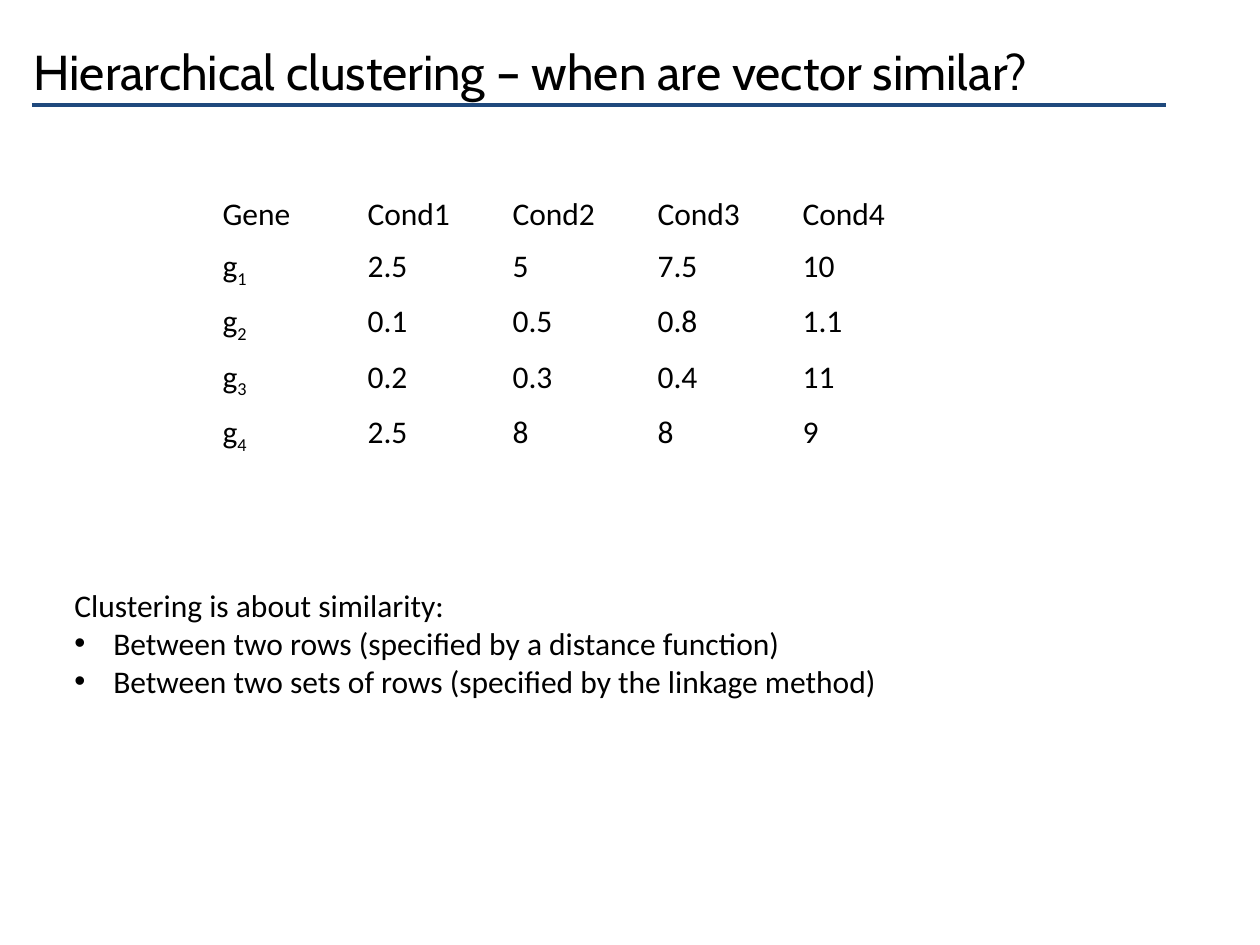
from dataclasses import dataclass

from lxml import etree
from pptx import Presentation
from pptx import util as u
from pptx.dml.color import RGBColor
from pptx.enum import shapes, text
from pptx.oxml import ns

PX_PER_INCH = 126


@dataclass(frozen=True)
class Theme:
    ink: RGBColor = RGBColor(0, 0, 0)
    rule: RGBColor = RGBColor(0x1F, 0x49, 0x7D)
    title_font: str = "Cabin"
    body_font: str = "Calibri"
    title_size: int = 28
    body_size: int = 18
    rule_width: float = 2.25


THEME = Theme()
TITLE = {"name": THEME.title_font, "size": u.Pt(THEME.title_size)}
BODY = {"name": THEME.body_font, "size": u.Pt(THEME.body_size)}
SUBSCRIPT = -25000

HEADERS = ["Gene", "Cond1", "Cond2", "Cond3", "Cond4"]
GENES = [
    ["2.5", "5", "7.5", "10"],
    ["0.1", "0.5", "0.8", "1.1"],
    ["0.2", "0.3", "0.4", "11"],
    ["2.5", "8", "8", "9"],
]


def px(length):
    return u.Emu(round(length * u.Inches(1) / PX_PER_INCH))


def box(*lengths):
    return [px(length) for length in lengths]


def apply(target, values):
    for name, value in values.items():
        setattr(target, name, value)


def write(paragraph, words, style, baseline=None):
    run = paragraph.add_run()
    run.text = words
    apply(run.font, style)
    run.font.color.rgb = THEME.ink
    if baseline is not None:
        run.font._element.set("baseline", str(baseline))


def add_bullet(paragraph, indent):
    properties = paragraph._p.get_or_add_pPr()
    properties.set("marL", str(px(indent)))
    properties.set("indent", str(-px(indent)))
    etree.SubElement(properties, ns.qn("a:buFont")).set("typeface", "Arial")
    etree.SubElement(properties, ns.qn("a:buChar")).set("char", "•")


def set_title(slide, words):
    title = slide.shapes.title
    left, top, width, height = box(21, 32, 1134, 78)
    apply(title, {"left": left, "top": top, "width": width, "height": height})
    apply(title.text_frame, {
        "word_wrap": True,
        "auto_size": text.MSO_AUTO_SIZE.NONE,
        "vertical_anchor": text.MSO_ANCHOR.MIDDLE,
    })
    paragraph = title.text_frame.paragraphs[0]
    paragraph.alignment = text.PP_ALIGN.LEFT
    write(paragraph, words, TITLE)


def add_rule(slide, left, right, y):
    rule = slide.shapes.add_connector(
        shapes.MSO_CONNECTOR.STRAIGHT, *box(left, y, right, y))
    rule.line.color.rgb = THEME.rule
    rule.line.width = u.Pt(THEME.rule_width)
    etree.SubElement(rule._element.spPr, ns.qn("a:effectLst"))


def add_gene_table(slide):
    row_heights = [52, 55, 52, 52, 52]
    column_width = 145
    frame = slide.shapes.add_table(
        len(row_heights), len(HEADERS),
        *box(210, 189, column_width * len(HEADERS), sum(row_heights)))
    table = frame.table
    apply(table, {"first_row": False, "horz_banding": False})
    for column in table.columns:
        column.width = px(column_width)
    for row, height in zip(table.rows, row_heights):
        row.height = px(height)
    rows = [HEADERS] + [["g", *values] for values in GENES]
    for number, values in enumerate(rows):
        for column, value in enumerate(values):
            cell = table.cell(number, column)
            cell.fill.background()
            paragraph = cell.text_frame.paragraphs[0]
            write(paragraph, value, BODY)
            if number and column == 0:
                write(paragraph, str(number), BODY, SUBSCRIPT)


def add_notes_on_similarity(slide, heading, bullets):
    frame = slide.shapes.add_textbox(*box(62, 580, 842, 127)).text_frame
    apply(frame, {
        "word_wrap": False,
        "auto_size": text.MSO_AUTO_SIZE.SHAPE_TO_FIT_TEXT,
    })
    write(frame.paragraphs[0], heading, BODY)
    for words in bullets:
        paragraph = frame.add_paragraph()
        add_bullet(paragraph, 39)
        write(paragraph, words, BODY)


def main():
    presentation = Presentation()
    apply(presentation, {"slide_width": px(1260), "slide_height": px(945)})
    slide = presentation.slides.add_slide(presentation.slide_layouts[5])
    add_rule(slide, 32, 1166, 105)
    set_title(slide, "Hierarchical clustering – when are vector similar?")
    add_gene_table(slide)
    add_notes_on_similarity(slide, "Clustering is about similarity:", [
        "Between two rows (specified by a distance function)",
        "Between two sets of rows (specified by the linkage method)",
    ])
    presentation.save("out.pptx")


if __name__ == "__main__":
    main()
